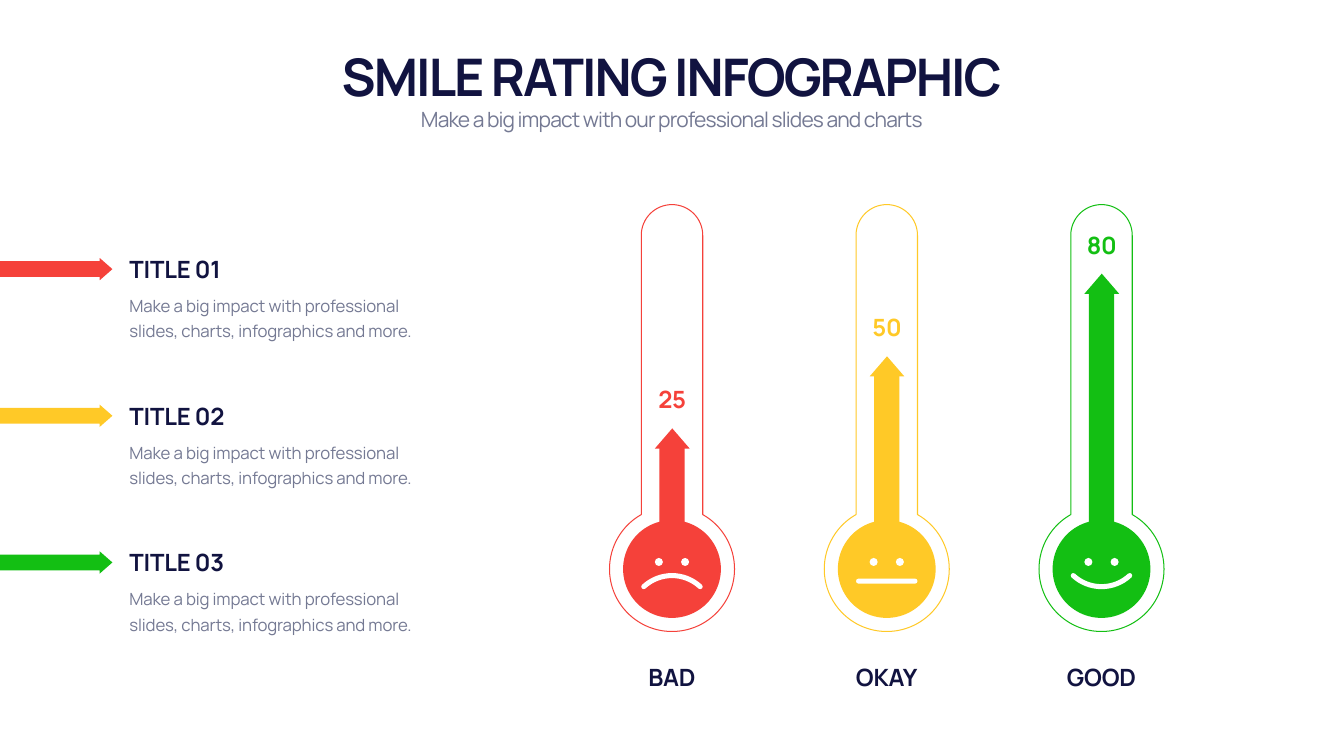
import math
from dataclasses import dataclass

from pptx import Presentation
from pptx import util as u
from pptx.dml.color import RGBColor
from pptx.enum import shapes, text
from pptx.oxml import ns, xmlchemy

Inches = u.Inches
SHAPE = shapes.MSO_SHAPE
CENTER, LEFT = text.PP_ALIGN.CENTER, text.PP_ALIGN.LEFT
TOP, BOTTOM = text.MSO_ANCHOR.TOP, text.MSO_ANCHOR.BOTTOM


@dataclass(frozen=True)
class Theme:
    font: str = "Manrope"
    ink: str = "111340"
    muted: str = "747993"
    white: str = "FFFFFF"
    red: str = "F5413A"
    yellow: str = "FFC927"
    green: str = "13BF13"
    title: int = 74
    subtitle: int = 30
    heading: int = 34
    body: int = 24
    outline: float = 1.45


T = Theme()


def write(sp, box, words, size, color, bold=False, align=LEFT, anchor=TOP,
          tracking=-0.3, leading=1.0):
    """Place a text shape in box and fill it with one formatted paragraph."""
    sp.left, sp.top, sp.width, sp.height = (Inches(v) for v in box)
    tf = sp.text_frame
    tf.word_wrap = True
    tf.auto_size = text.MSO_AUTO_SIZE.SHAPE_TO_FIT_TEXT
    tf.vertical_anchor = anchor
    p = tf.paragraphs[0]
    p.text = words
    p.alignment = align
    p.space_before = u.Pt(0)
    p.line_spacing = leading
    p.font.name, p.font.size, p.font.bold = T.font, u.Pt(size), bold
    p.font.color.rgb = RGBColor.from_string(color)
    for r in p.runs:
        r._r.get_or_add_rPr().set("spc", str(round(tracking * 100)))


def add_text(slide, box, *args, **kwargs):
    write(slide.shapes.add_textbox(0, 0, 0, 0), box, *args, **kwargs)


def paint(sp, fill=None, line=None):
    sp.shadow.inherit = False
    if fill:
        sp.fill.solid()
        sp.fill.fore_color.rgb = RGBColor.from_string(fill)
    else:
        sp.fill.background()
    if line:
        sp.line.color.rgb = RGBColor.from_string(line)
        sp.line.width = u.Pt(T.outline)
    else:
        sp.line.fill.background()


def add_solid(parent, kind, box, color):
    sp = parent.shapes.add_shape(kind, *(Inches(v) for v in box))
    paint(sp, fill=color)
    return sp


def arc(cx, cy, r, start, end, steps=1):
    """Bezier points of a circular arc, in degrees clockwise from the right."""
    step = math.radians(end - start) / steps
    k = 4 / 3 * math.tan(step / 4)
    points = []
    for i in range(steps + 1):
        a = math.radians(start) + step * i
        c, s = math.cos(a), math.sin(a)
        trio = [(c + k * s, s - k * c), (c, s), (c - k * s, s + k * c)]
        points += [(cx + r * x, cy + r * y) for x, y in trio]
    return points[1:-1]


def add_outline(slide, contours, **colors):
    """Draw closed contours, each a list of arcs joined by straight lines."""
    rings = [[(Inches(x), Inches(y)) for part in arcs for x, y in part] for arcs in contours]
    builder = slide.shapes.build_freeform(*rings[0][0])
    for i, (start, *rest) in enumerate(rings):
        if i:
            builder.move_to(*start)
        builder.add_line_segments(rest, close=True)
    sp = builder.convert_to_shape()
    lines = iter(list(sp._element.iter(ns.qn("a:lnTo"))))
    for arcs in contours:
        for i, part in enumerate(arcs):
            if i:
                next(lines)
            for _ in range(len(part) // 3):
                trio = [next(lines) for _ in range(3)]
                curve = xmlchemy.OxmlElement("a:cubicBezTo")
                trio[0].addprevious(curve)
                for line in trio:
                    curve.append(line[0])
                    line.getparent().remove(line)
    paint(sp, **colors)


def header(slide, left, top, width):
    write(slide.shapes.title, (left, top, width, 1.35), "SMILE RATING INFOGRAPHIC",
          T.title, T.ink, bold=True, align=CENTER, anchor=BOTTOM, tracking=-2.9)
    write(slide.placeholders[1], (left, top + 1.25, width, 0.61),
          "Make a big impact with our professional slides and charts",
          T.subtitle, T.muted, align=CENTER, tracking=-1.2)


def legend_item(slide, top, title, color):
    """Arrow from the slide's left edge, with a heading and text beside it."""
    arrow = add_solid(slide, SHAPE.RIGHT_ARROW, (0, top + 0.12, 2.23, 0.44), color)
    arrow.adjustments[0], arrow.adjustments[1] = 0.71, 0.57
    add_text(slide, (2.47, top, 6.42, 0.67), title, T.heading, T.ink,
             bold=True, anchor=BOTTOM)
    add_text(slide, (2.47, top + 0.72, 6.42, 1.09),
             "Make a big impact with professional slides, charts, infographics and more.",
             T.body, T.muted, tracking=-0.2, leading=u.Pt(36))


def face(slide, cx, cy, mood):
    """Eyes and mouth centred on a bulb: mood is -1 sad, 0 neutral, 1 happy."""
    half, cap, sag = 0.56, 0.05, 0.22
    eyes = [[arc(cx + dx, cy - 0.14, 0.08, 0, 360, 4)] for dx in (0.26, -0.26)]
    if mood == 0:
        y = cy + 0.24
        mouth = [arc(cx + half, y, cap, -90, 90, 2), arc(cx - half, y, cap, 90, 270, 2)]
    else:
        r = (half ** 2 + sag ** 2) / (2 * sag)
        sweep = math.degrees(math.asin(half / r))
        start, end = 270 - sweep, 270 + sweep
        drop = r - sag / 2
        (x0, y0), *_, (x1, y1) = arc(0, drop, r, start, end)
        frown = [arc(0, drop, r + cap, start, end, 2),
                 arc(x1, y1, cap, end, end + 180, 2),
                 arc(0, drop, r - cap, end, start, 2),
                 arc(x0, y0, cap, start + 180, start + 360, 2)]
        mouth = [[(cx + x, cy + 0.24 - mood * y) for x, y in part] for part in frown]
    add_outline(slide, [mouth, *eyes], fill=T.white)


def thermometer(slide, left, top, width, label, value, tip, mood, color):
    """Thermometer whose arrow reaches tip, measured down from top."""
    cx, cy = left + width / 2, top + 7.23
    tube, glass, bulb = 0.61, 1.24, 0.97
    neck = math.degrees(math.acos(tube / glass))
    add_outline(slide, [[arc(cx, top + tube, tube, 180, 360, 2),
                         arc(cx, cy, glass, -neck, 0) + arc(cx, cy, glass, 0, 180, 2)[1:]
                         + arc(cx, cy, glass, 180, 180 + neck)[1:]]], line=color)

    tip += top
    g = slide.shapes.add_group_shape()
    add_solid(g, SHAPE.OVAL, (cx - bulb, cy - bulb, 2 * bulb, 2 * bulb), color)
    add_solid(g, SHAPE.RECTANGLE, (cx - 0.25, tip + 0.33, 0.5, cy - 0.88 - tip - 0.33), color)
    add_solid(g, SHAPE.ISOSCELES_TRIANGLE, (cx - 0.34, tip, 0.69, 0.4), color)
    face(slide, cx, cy, mood)

    add_text(slide, (cx - 0.5, tip - 0.91, 1.01, 0.67), str(value), T.heading, color,
             bold=True, align=CENTER)
    add_text(slide, (left, top + 9.04, width, 0.67), label, T.heading, T.ink,
             bold=True, align=CENTER)


def main():
    prs = Presentation()
    prs.slide_width, prs.slide_height = Inches(26.66), Inches(15)
    slide = prs.slides.add_slide(prs.slide_layouts[0])
    header(slide, 1.66, 0.82, 23.33)
    ratings = [("BAD", 25, 4.44, -1, T.red),
               ("OKAY", 50, 3.01, 0, T.yellow),
               ("GOOD", 80, 1.37, 1, T.green)]
    for i, rating in enumerate(ratings):
        legend_item(slide, 5 + 2.91 * i, f"TITLE {i + 1:02d}", rating[-1])
        thermometer(slide, 12 + 4.26 * i, 4.06, 2.66, *rating)
    prs.save("out.pptx")


if __name__ == "__main__":
    main()
